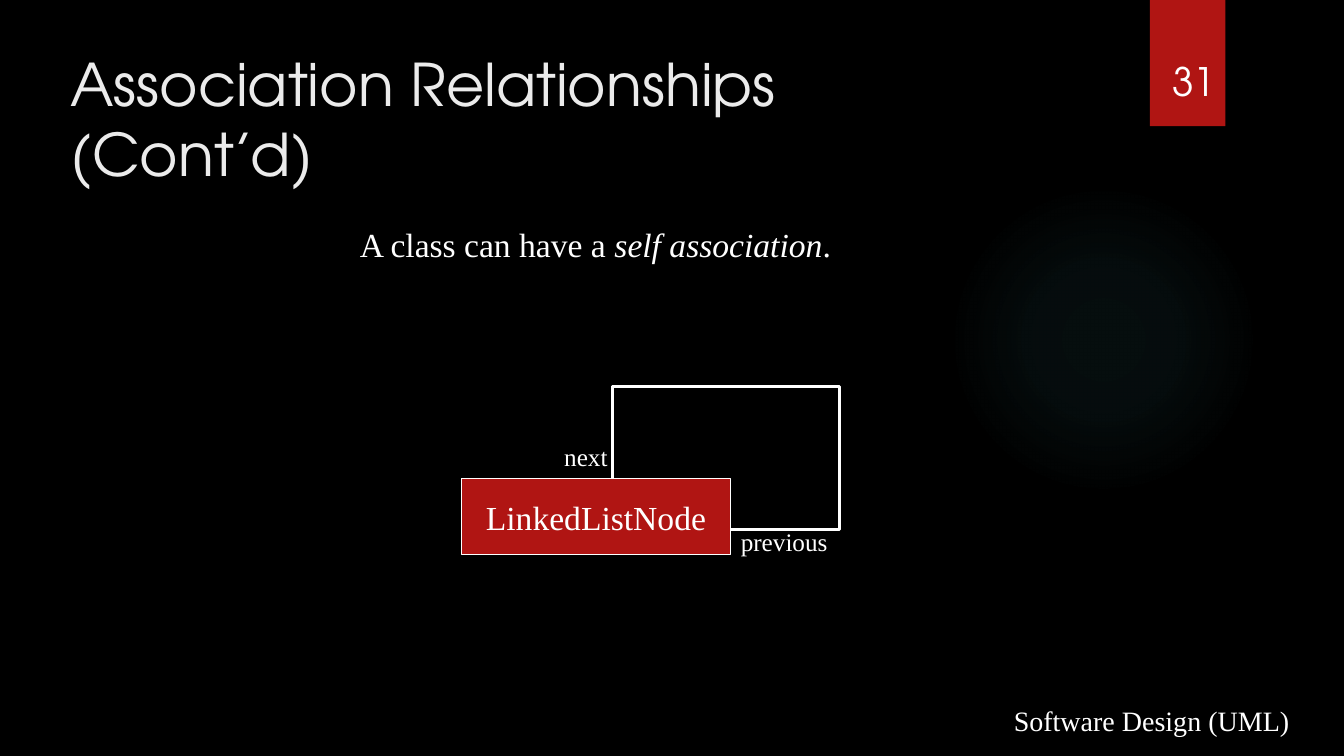
from lxml import etree
from pptx import Presentation
from pptx.dml.color import RGBColor
from pptx.enum import shapes, text
from pptx.oxml import ns
from pptx.util import Cm, Pt

BLACK = RGBColor(0x00, 0x00, 0x00)
WHITE = RGBColor(0xFF, 0xFF, 0xFF)
PALE = RGBColor(0xEB, 0xEB, 0xEB)
RED = RGBColor(0xB0, 0x15, 0x13)
TEAL = RGBColor(0x50, 0xB9, 0xC1)

RECT = shapes.MSO_SHAPE.RECTANGLE
OVAL = shapes.MSO_SHAPE.OVAL
LEFT, CENTER = text.PP_ALIGN.LEFT, text.PP_ALIGN.CENTER
TOP, MIDDLE = text.MSO_ANCHOR.TOP, text.MSO_ANCHOR.MIDDLE
BOTTOM = text.MSO_ANCHOR.BOTTOM


class Deck:
    head = "TeX Gyre Adventor"
    body = "Times New Roman"

    def __init__(self, prs):
        self.slide = prs.slides.add_slide(prs.slide_layouts[5])
        fill = self.slide.background.fill
        fill.solid()
        fill.fore_color.rgb = BLACK

    def letter(self, shape, runs, size, font=None, color=WHITE,
               align=LEFT, anchor=TOP, wrap=True):
        """Fill a shape with one paragraph; every second run is italic."""
        frame = shape.text_frame
        frame.auto_size = text.MSO_AUTO_SIZE.NONE
        frame.word_wrap = wrap
        frame.vertical_anchor = anchor
        para = frame.paragraphs[0]
        para.alignment = align
        para.font.name = font or self.body
        para.font.size = Pt(size)
        para.font.color.rgb = color
        for i, words in enumerate(runs):
            run = para.add_run()
            run.text = words
            if i % 2:
                run.font.italic = True

    def title(self, words, x, y, w, h):
        box = self.slide.shapes.title
        box.left, box.top, box.width, box.height = map(Cm, (x, y, w, h))
        self.letter(box, [words], 42, self.head, PALE)

    def label(self, runs, x, y, w, h, size, **style):
        box = self.slide.shapes.add_textbox(*map(Cm, (x, y, w, h)))
        self.letter(box, runs, size, **style)

    def block(self, x, y, w, h, fill=None, line=0, kind=RECT):
        shape = self.slide.shapes.add_shape(kind, *map(Cm, (x, y, w, h)))
        shape.shadow.inherit = False
        if fill is None:
            shape.fill.background()
        else:
            shape.fill.solid()
            shape.fill.fore_color.rgb = fill
        if line:
            shape.line.color.rgb = WHITE
            shape.line.width = Pt(line)
        else:
            shape.line.fill.background()
        return shape

    def glow(self, x, y, size, stops):
        """A round glow; stops are (position, opacity) in percent."""
        shape = self.block(x, y, size, size, kind=OVAL)
        marks = "".join(
            f'<a:gs pos="{pos * 1000}"><a:srgbClr val="{TEAL}">'
            f'<a:alpha val="{alpha * 1000}"/></a:srgbClr></a:gs>'
            for pos, alpha in stops)
        grad = etree.fromstring(
            f'<a:gradFill {ns.nsdecls("a")}><a:gsLst>{marks}</a:gsLst>'
            '<a:path path="circle"><a:fillToRect l="50000" t="50000" '
            'r="50000" b="50000"/></a:path></a:gradFill>')
        props = shape.element.spPr
        props.replace(props.find(ns.qn("a:noFill")), grad)


def main():
    prs = Presentation()
    prs.slide_width, prs.slide_height = Cm(33.87), Cm(19.05)
    deck = Deck(prs)

    # Backdrop
    deck.glow(23.9, 4.65, 7.82, [(0, 7), (36, 6), (69, 0)])
    deck.block(28.98, 0, 1.9, 3.18, RED)

    # Heading and statement
    deck.title("Association Relationships (Cont’d)", 1.52, 1.07, 22.66, 1.47)
    deck.label(["A class can have a ", "self association", "."],
               4.11, 5.51, 21.79, 1.27, 24, align=CENTER)

    # Class with a loop back to itself
    deck.block(15.44, 9.73, 5.72, 3.61, line=2.25)
    node = deck.block(11.63, 12.07, 6.78, 1.9, RED, line=0.75)
    deck.letter(node, ["LinkedListNode"], 24, align=CENTER, anchor=MIDDLE,
                wrap=False)
    deck.label(["next"], 13.97, 11, 1.7, 1.02, 18)
    deck.label(["previous"], 18.42, 13.13, 2.97, 1.02, 18)

    # Footer and slide number
    deck.label(["Software Design (UML)"], 25.3, 17.86, 8.5, 0.84, 20,
               anchor=BOTTOM)
    deck.label(["31"], 29.29, 1.32, 2.34, 2.01, 28, font=deck.head)

    prs.save("out.pptx")


if __name__ == "__main__":
    main()
